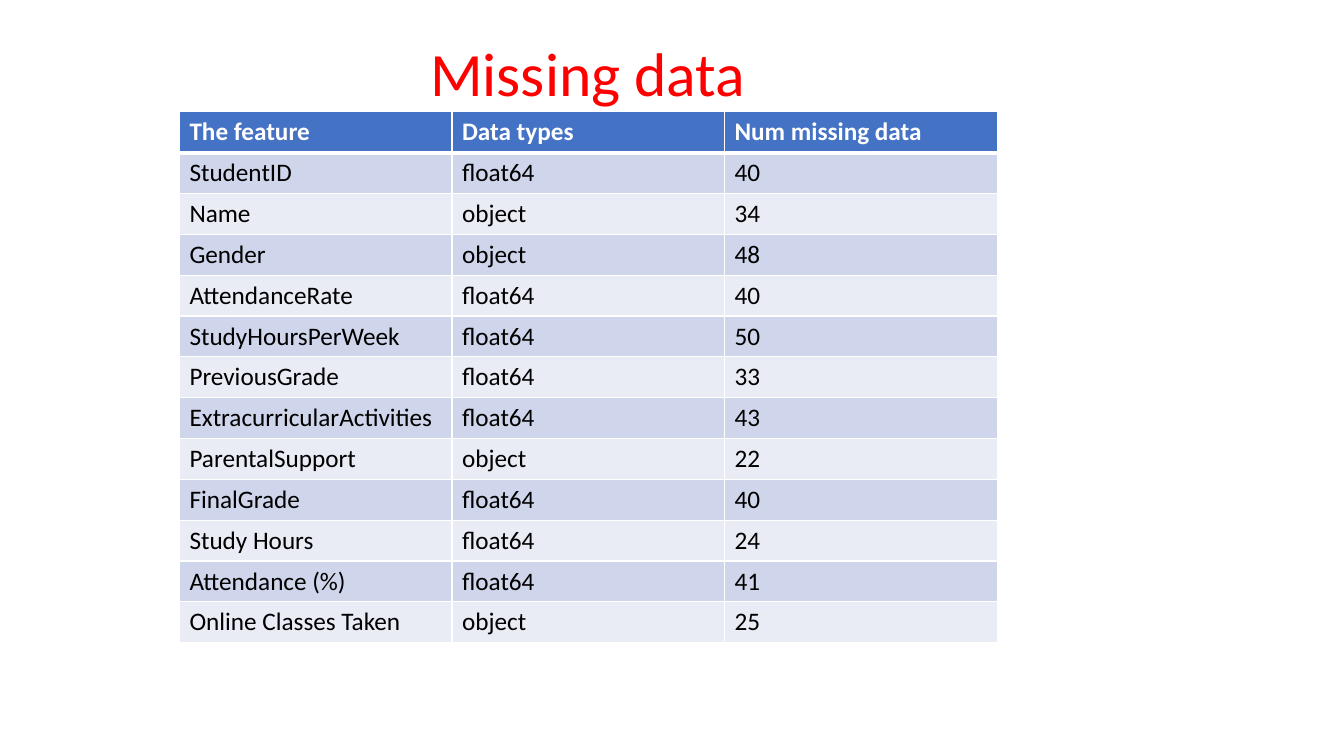
from typing import NamedTuple

from lxml.etree import SubElement
from pptx import Presentation
from pptx.dml.color import RGBColor
from pptx.enum.text import MSO_AUTO_SIZE, PP_ALIGN
from pptx.oxml.ns import qn
from pptx.slide import Slide
from pptx.table import _Cell
from pptx.text.text import _Paragraph
from pptx.util import Inches, Pt

FONT = "Calibri"
COLORS = {
    "title": "FF0000",
    "header": "4472C4",
    "header_text": "FFFFFF",
    "odd_row": "CFD5EA",
    "even_row": "E9EBF5",
    "text": "000000",
    "border": "FFFFFF",
}


class Feature(NamedTuple):
    name: str
    data_type: str
    missing: str


HEADER = Feature("The feature", "Data types", "Num missing data")
FEATURES = [
    Feature("StudentID", "float64", "40"),
    Feature("Name", "object", "34"),
    Feature("Gender", "object", "48"),
    Feature("AttendanceRate", "float64", "40"),
    Feature("StudyHoursPerWeek", "float64", "50"),
    Feature("PreviousGrade", "float64", "33"),
    Feature("ExtracurricularActivities", "float64", "43"),
    Feature("ParentalSupport", "object", "22"),
    Feature("FinalGrade", "float64", "40"),
    Feature("Study Hours", "float64", "24"),
    Feature("Attendance (%)", "float64", "41"),
    Feature("Online Classes Taken", "object", "25"),
]


def set_font(paragraph: _Paragraph, size: int, color: str, bold: bool = False) -> None:
    paragraph.font.name = FONT
    paragraph.font.size = Pt(size)
    paragraph.font.bold = bold
    paragraph.font.color.rgb = RGBColor.from_string(COLORS[color])


def add_title(slide: Slide, text: str) -> None:
    box = slide.shapes.add_textbox(Inches(3.27), Inches(0.3), Inches(5.12), Inches(0.84))
    frame = box.text_frame
    frame.word_wrap = True
    frame.auto_size = MSO_AUTO_SIZE.SHAPE_TO_FIT_TEXT
    paragraph = frame.paragraphs[0]
    paragraph.text = text
    paragraph.alignment = PP_ALIGN.CENTER
    set_font(paragraph, 44, "title")


def set_borders(cell: _Cell, top: int, bottom: int) -> None:
    """Draw solid cell borders; top and bottom are widths in points."""
    properties = cell._tc.get_or_add_tcPr()
    for tag, width in (("a:lnL", 1), ("a:lnR", 1), ("a:lnT", top), ("a:lnB", bottom)):
        line = SubElement(properties, qn(tag), w=str(Pt(width)))
        fill = SubElement(line, qn("a:solidFill"))
        SubElement(fill, qn("a:srgbClr"), val=COLORS["border"])


def add_feature_table(slide: Slide) -> None:
    rows = [HEADER, *FEATURES]
    table = slide.shapes.add_table(
        len(rows), len(HEADER), Inches(1.78), Inches(1.11), Inches(8.11), Inches(5.27)
    ).table
    for row_index, feature in enumerate(rows):
        is_header = row_index == 0
        fill = "header" if is_header else "odd_row" if row_index % 2 else "even_row"
        for column_index, text in enumerate(feature):
            cell = table.cell(row_index, column_index)
            cell.text = text
            set_font(
                cell.text_frame.paragraphs[0],
                18,
                "header_text" if is_header else "text",
                bold=is_header,
            )
            set_borders(cell, top=3 if row_index == 1 else 1, bottom=3 if is_header else 1)
            cell.fill.solid()
            cell.fill.fore_color.rgb = RGBColor.from_string(COLORS[fill])


def main() -> None:
    presentation = Presentation()
    presentation.slide_width = Inches(13.33)
    presentation.slide_height = Inches(7.5)
    slide = presentation.slides.add_slide(presentation.slide_layouts[6])
    add_title(slide, "Missing data")
    add_feature_table(slide)
    presentation.save("out.pptx")


if __name__ == "__main__":
    main()
